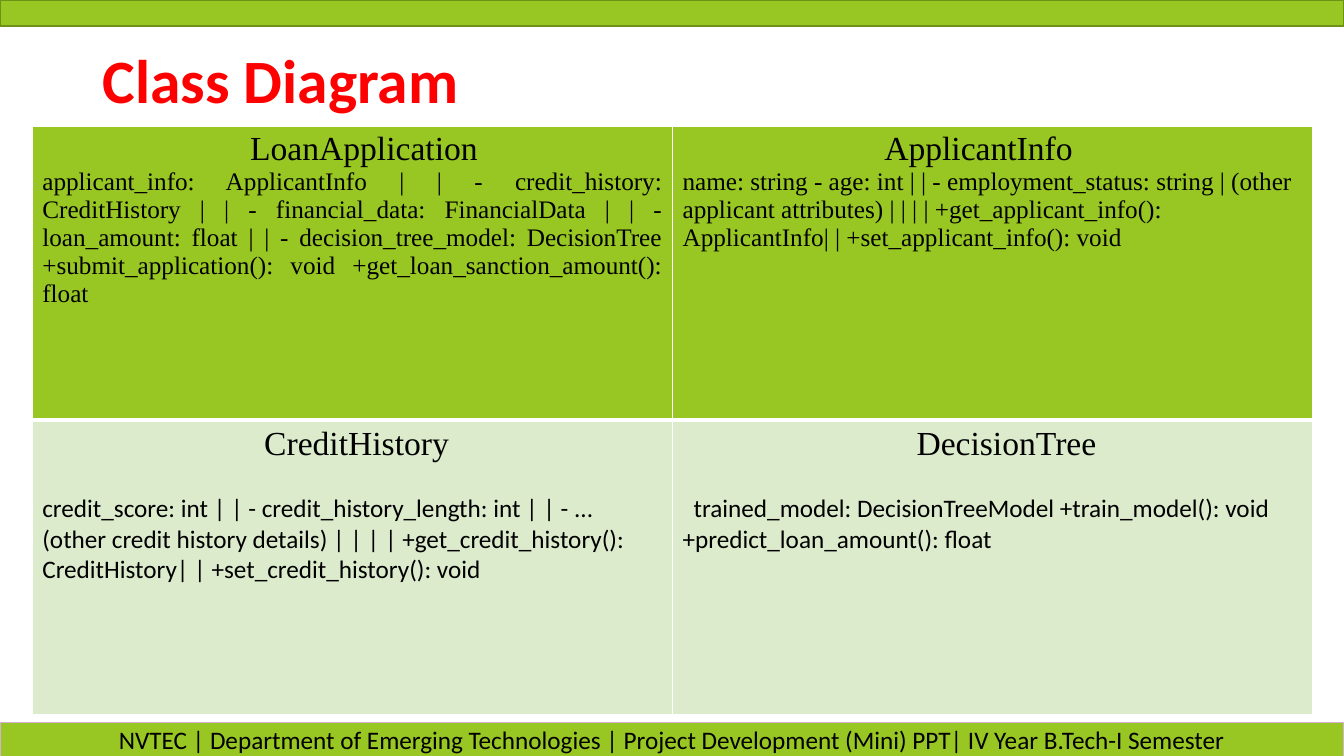
import lxml.etree
import pptx
import pptx.dml.color
import pptx.enum.shapes
import pptx.enum.text
import pptx.oxml.ns
import pptx.util

Inches = pptx.util.Inches
Pt = pptx.util.Pt
Color = pptx.dml.color.RGBColor
Align = pptx.enum.text.PP_ALIGN
Anchor = pptx.enum.text.MSO_ANCHOR
qn = pptx.oxml.ns.qn

LIME = Color(0x98, 0xC7, 0x23)
OLIVE = Color(0x6E, 0x92, 0x17)
MAUVE = Color(0xD4, 0xB0, 0xD2)
PALE = Color(0xDD, 0xEB, 0xCD)
RED = Color(0xFF, 0, 0)
BLACK = Color(0, 0, 0)
SANS, SERIF = "Calibri", "Times New Roman"
WIDE = 13.33

FOOTER = ("NVTEC | Department of Emerging Technologies | "
          "Project Development (Mini) PPT| IV Year B.Tech-I Semester")

# name, name indent, members, members' first-line indent
CLASSES = [
    [("LoanApplication", 2.06,
      "applicant_info: ApplicantInfo | | - credit_history: CreditHistory | | "
      "- financial_data: FinancialData | | - loan_amount: float | | "
      "- decision_tree_model: DecisionTree +submit_application(): void "
      "+get_loan_sanction_amount(): float", 0),
     ("ApplicantInfo", 2.0,
      "name: string - age: int | | - employment_status: string | "
      "(other applicant attributes) | | | | +get_applicant_info(): "
      "ApplicantInfo| | +set_applicant_info(): void", 0)],
    [("CreditHistory", 2.2,
      "credit_score: int | | - credit_history_length: int | | - ... "
      "(other credit history details) | | | | +get_credit_history(): "
      "CreditHistory| | +set_credit_history(): void", 0),
     ("DecisionTree", 2.32,
      "trained_model: DecisionTreeModel +train_model(): void "
      "+predict_loan_amount(): float", 0.11)],
]


def add_run(para, text, size, font=SANS, color=BLACK, bold=False):
    run = para.add_run()
    run.text = text
    run.font.size = Pt(size)
    run.font.name = font
    run.font.color.rgb = color
    run.font.bold = bold


def add_bar(slide, top, height, edge):
    bar = slide.shapes.add_shape(
        pptx.enum.shapes.MSO_SHAPE.RECTANGLE,
        0, Inches(top), Inches(WIDE), Inches(height))
    bar.shadow.inherit = False
    bar.fill.solid()
    bar.fill.fore_color.rgb = LIME
    bar.line.color.rgb = edge
    bar.line.width = Pt(1)
    return bar


def add_footer(slide):
    frame = add_bar(slide, 7.17, 0.34, MAUVE).text_frame
    frame.word_wrap = True
    frame.vertical_anchor = Anchor.MIDDLE
    para = frame.paragraphs[0]
    para.alignment = Align.CENTER
    add_run(para, FOOTER, 18)


def set_title(slide, text):
    title = slide.shapes.title
    title.left, title.top = Inches(0.92), Inches(0.41)
    title.width, title.height = Inches(11.5), Inches(0.84)
    frame = title.text_frame
    frame.vertical_anchor = Anchor.MIDDLE
    para = frame.paragraphs[0]
    para.alignment = Align.LEFT
    para.line_spacing = 0.9
    add_run(para, text, 44, color=RED, bold=True)


def set_edges(cell, **widths):
    """Draw white borders; widths in points are keyed L, R, T and B."""
    props = cell._tc.get_or_add_tcPr()
    for side, width in widths.items():
        line = lxml.etree.SubElement(props, qn("a:ln" + side), w=str(Pt(width)))
        fill = lxml.etree.SubElement(line, qn("a:solidFill"))
        lxml.etree.SubElement(fill, qn("a:srgbClr"), val="FFFFFF")


def indent(para, margin, first=0):
    props = para._p.get_or_add_pPr()
    props.set("marL", str(Inches(margin)))
    props.set("indent", str(Inches(first)))


def fill_cell(cell, entry, upper):
    name, margin, members, first = entry
    set_edges(cell, L=1, R=1, T=1 if upper else 3, B=3 if upper else 1)
    cell.fill.solid()
    cell.fill.fore_color.rgb = LIME if upper else PALE
    head = cell.text_frame.paragraphs[0]
    head.alignment = Align.LEFT
    head.space_after = Pt(0 if upper else 22)
    indent(head, margin)
    add_run(head, name, 24, SERIF)
    body = cell.text_frame.add_paragraph()
    body.alignment = Align.LEFT
    indent(body, 0, first)
    add_run(body, members, 18, SERIF if upper else SANS)


def add_grid(slide):
    table = slide.shapes.add_table(
        2, 2, Inches(0.32), Inches(1.25), Inches(12.7), Inches(5.84)).table
    for r, row in enumerate(CLASSES):
        for c, entry in enumerate(row):
            fill_cell(table.cell(r, c), entry, r == 0)
    table.cell(0, 0).text_frame.paragraphs[1].alignment = Align.JUSTIFY


def main():
    deck = pptx.Presentation()
    deck.slide_width, deck.slide_height = Inches(WIDE), Inches(7.5)
    slide = deck.slides.add_slide(deck.slide_layouts[5])
    add_bar(slide, 0, 0.26, OLIVE)
    add_footer(slide)
    set_title(slide, "Class Diagram")
    add_grid(slide)
    deck.save("out.pptx")


if __name__ == "__main__":
    main()
